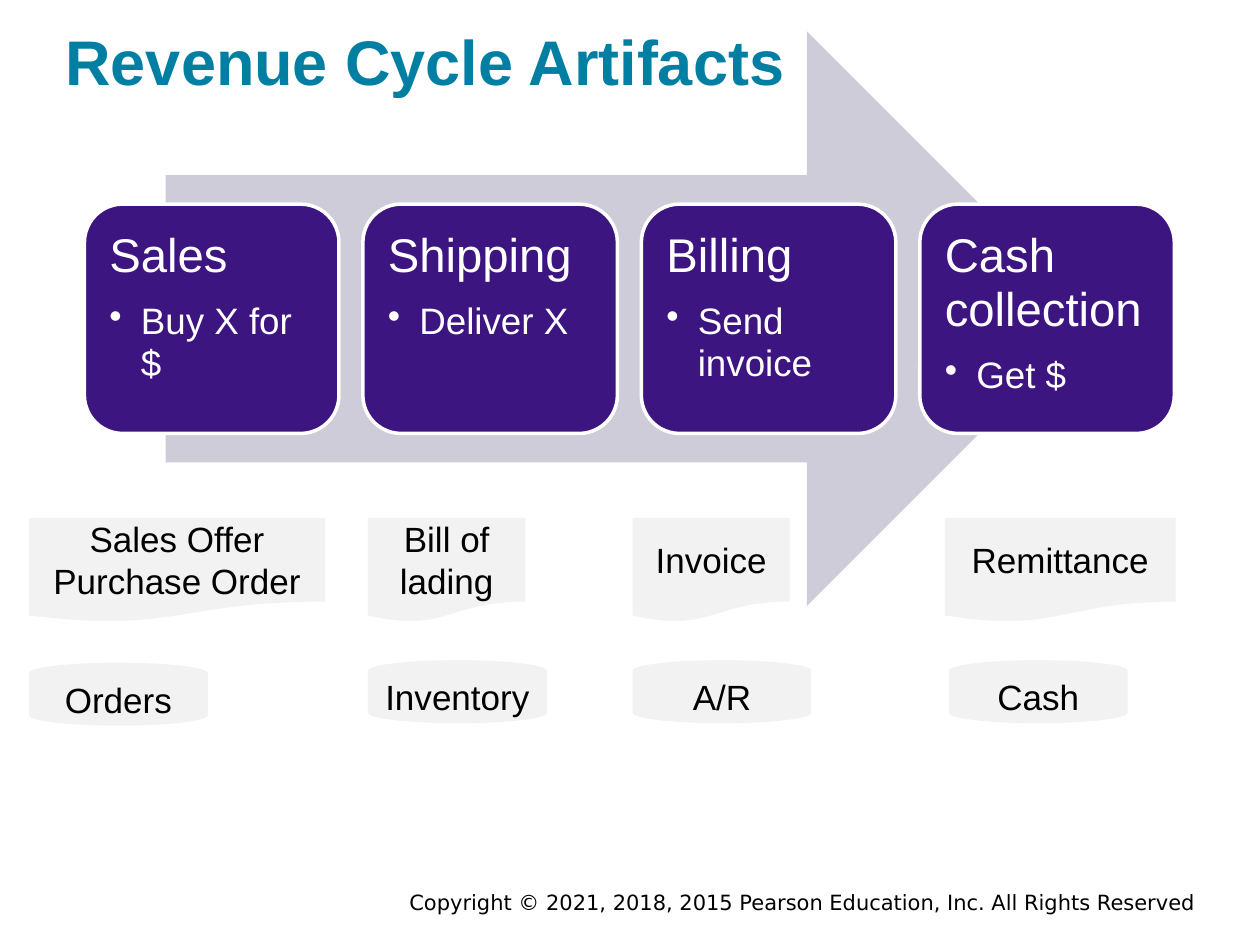
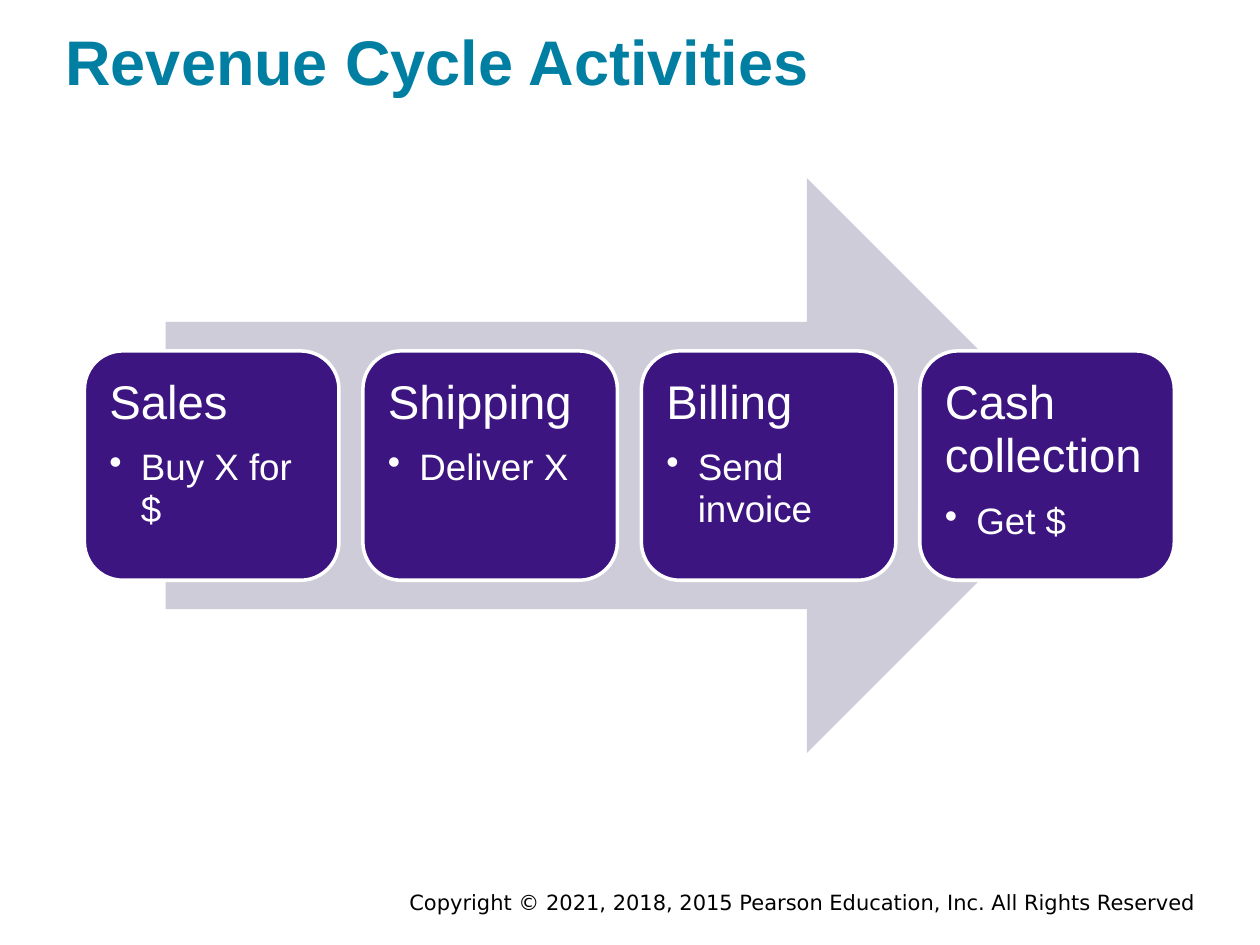
from lxml import etree
from pptx import Presentation
from pptx.dml.color import RGBColor
from pptx.enum.shapes import MSO_SHAPE
from pptx.enum.text import MSO_ANCHOR, PP_ALIGN
from pptx.oxml.ns import qn
from pptx.util import Inches, Pt

TEAL = RGBColor(0x00, 0x7F, 0xA3)
PURPLE = RGBColor(0x3C, 0x15, 0x81)
LAVENDER = RGBColor(0xCE, 0xCC, 0xD8)
PALE_GREY = RGBColor(0xF2, 0xF2, 0xF2)
BLACK = RGBColor(0, 0, 0)
WHITE = RGBColor(0xFF, 0xFF, 0xFF)

ARROW = MSO_SHAPE.RIGHT_ARROW
CARD = MSO_SHAPE.ROUNDED_RECTANGLE
DOCUMENT = MSO_SHAPE.FLOWCHART_DOCUMENT
DATA_STORE = MSO_SHAPE.FLOWCHART_MAGNETIC_DISK
LEFT, CENTER, RIGHT = PP_ALIGN.LEFT, PP_ALIGN.CENTER, PP_ALIGN.RIGHT
TOP, MIDDLE = MSO_ANCHOR.TOP, MSO_ANCHOR.MIDDLE

COLUMNS, ROWS = 100, 75
BODY_FONT, FOOTER_FONT = "Arial", "DejaVu Sans"
COPYRIGHT = "Copyright © 2021, 2018, 2015 Pearson Education, Inc. All Rights Reserved"

STAGES = [
    ("Sales", "Buy X for $"),
    ("Shipping", "Deliver X"),
    ("Billing", "Send invoice"),
    ("Cash collection", "Get $"),
]
# Left column, width and lines of each document
DOCUMENTS = [
    (2.3, 23.5, ["Sales Offer", "Purchase Order"]),
    (29.2, 12.5, ["Bill of lading"]),
    (50.2, 12.5, ["Invoice"]),
    (75, 18.3, ["Remittance"]),
]
# Left column, top row and name of each data store
DATA_STORES = [
    (2.3, 52.6, "Orders"),
    (29.2, 52.4, "Inventory"),
    (50.2, 52.4, "A/R"),
    (75.3, 52.4, "Cash"),
]


class Deck:
    def __init__(self):
        self.prs = Presentation()
        self.prs.slide_width, self.prs.slide_height = Inches(10), Inches(7.5)
        self.column = self.prs.slide_width / COLUMNS
        self.row = self.prs.slide_height / ROWS
        self.slide = None

    def box(self, left, top, width, height):
        """Turn grid columns and rows into slide lengths."""
        return (round(left * self.column), round(top * self.row),
                round(width * self.column), round(height * self.row))

    def new_slide(self, title):
        self.slide = self.prs.slides.add_slide(self.prs.slide_layouts[6])
        self.label((30, 70.6, 64.9, 2.2), COPYRIGHT, 12, BLACK,
                   align=RIGHT, font=FOOTER_FONT)
        self.label((5.2, 1.7, 90, 6.1), title, 36, TEAL, bold=True, anchor=MIDDLE)

    def frame(self, shape, anchor, inset=None):
        frame = shape.text_frame
        frame.word_wrap = True
        frame.vertical_anchor = anchor
        if inset is not None:
            margin = round(inset * self.column)
            frame.margin_left = frame.margin_right = margin
            frame.margin_top = frame.margin_bottom = margin
        return frame

    def run(self, paragraph, text, size, color, font=BODY_FONT, bold=False):
        run = paragraph.add_run()
        run.text = text
        run.font.name, run.font.size, run.font.bold = font, Pt(size), bold
        run.font.color.rgb = color

    def label(self, place, text, size, color, align=LEFT, anchor=TOP, **style):
        shape = self.slide.shapes.add_textbox(*self.box(*place))
        paragraph = self.frame(shape, anchor, inset=0).paragraphs[0]
        paragraph.alignment = align
        self.run(paragraph, text, size, color, **style)

    def shape(self, kind, place, fill, outline=None):
        shape = self.slide.shapes.add_shape(kind, *self.box(*place))
        shape.shadow.inherit = False
        shape.fill.solid()
        shape.fill.fore_color.rgb = fill
        if outline is None:
            shape.line.fill.background()
        else:
            shape.line.color.rgb = outline
            shape.line.width = Pt(2)
        return shape

    def bullet(self, paragraph, indent):
        properties = paragraph._p.get_or_add_pPr()
        margin = round(indent * self.column)
        properties.set("marL", str(margin))
        properties.set("indent", str(-margin))
        etree.SubElement(properties, qn("a:buChar")).set("char", "•")

    def card(self, place, stage, activity):
        frame = self.frame(self.shape(CARD, place, PURPLE, WHITE), TOP, inset=1.1)
        heading, item = frame.paragraphs[0], frame.add_paragraph()
        self.bullet(item, indent=2.5)
        for paragraph, text, size, gap in ((heading, stage, 27, 10),
                                           (item, activity, 21, 4)):
            paragraph.alignment = LEFT
            paragraph.line_spacing = 0.95
            paragraph.space_after = Pt(gap)
            self.run(paragraph, text, size, WHITE)

    def artifact(self, kind, place, lines):
        shape = self.shape(kind, place, PALE_GREY)
        paragraph = self.frame(shape, MIDDLE).paragraphs[0]
        paragraph.alignment = CENTER
        for number, line in enumerate(lines):
            if number:
                paragraph.add_line_break()
            self.run(paragraph, line, 20, BLACK)

    def cycle(self, axis):
        """Draw the arrow and its stage cards, centred on the row axis."""
        arrow_height, card_width, card_height, pitch = 45.6, 20.2, 18.2, 22.1
        self.shape(ARROW, (13.15, axis - arrow_height / 2, 73.7, arrow_height),
                   LAVENDER)
        for number, (stage, activity) in enumerate(STAGES):
            self.card((6.7 + number * pitch, axis - card_height / 2,
                       card_width, card_height), stage, activity)


def main():
    deck = Deck()

    deck.new_slide("Revenue Cycle Artifacts")
    deck.cycle(axis=25.3)
    for left, width, lines in DOCUMENTS:
        deck.artifact(DOCUMENT, (left, 41.1, width, 8.3), lines)
    for left, top, name in DATA_STORES:
        deck.artifact(DATA_STORE, (left, top, 14.2, 5), [name])

    deck.new_slide("Revenue Cycle Activities")
    deck.cycle(axis=36.95)

    deck.prs.save("out.pptx")


if __name__ == "__main__":
    main()
